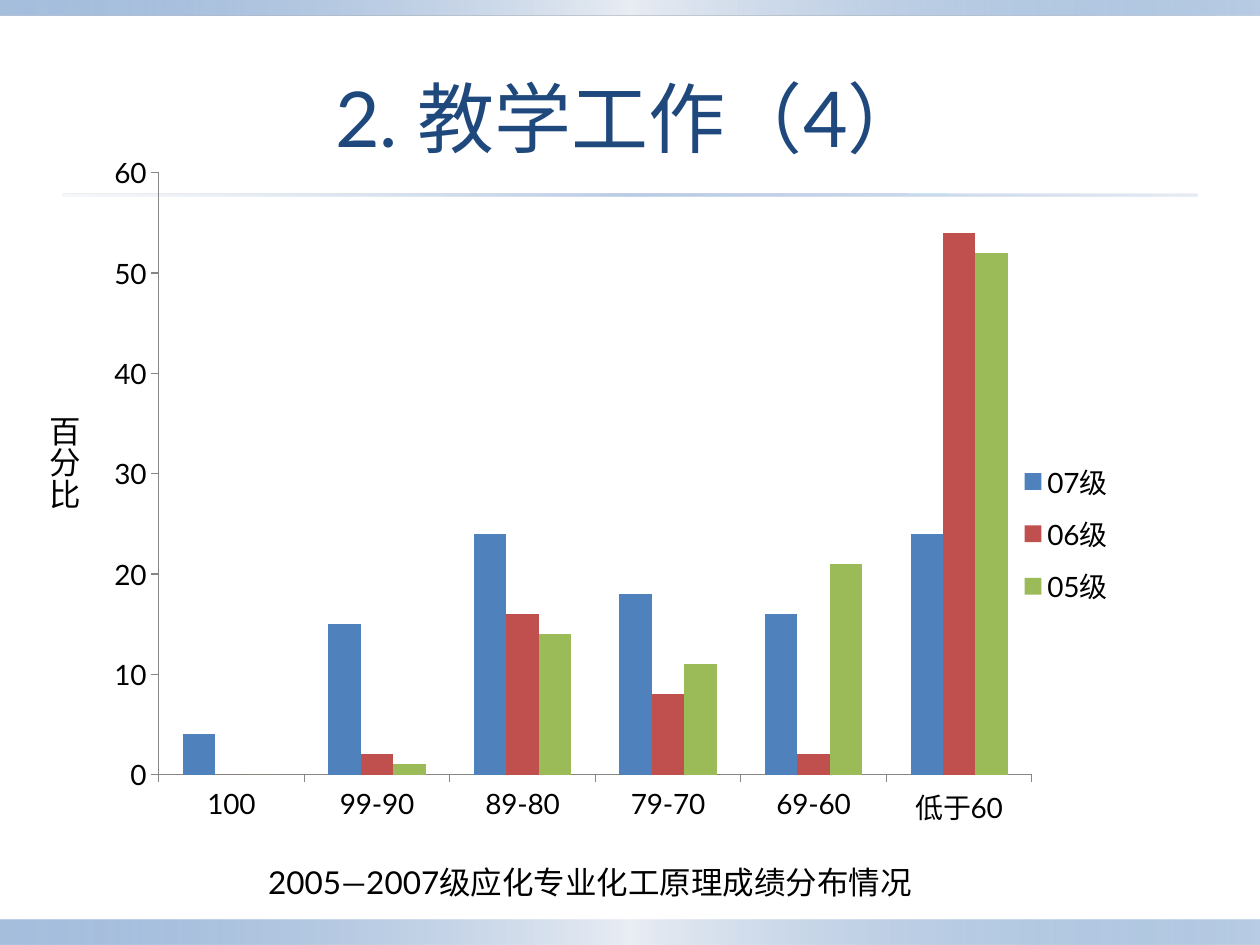
import pptx
import pptx.chart.data
import pptx.dml.color
import pptx.enum.chart
import pptx.enum.shapes
import pptx.enum.text
import pptx.oxml
import pptx.oxml.ns
import pptx.util

Inches, Pt = pptx.util.Inches, pptx.util.Pt
RGB = pptx.dml.color.RGBColor
NAVY = RGB(0x1F, 0x49, 0x7D)
BLACK = RGB(0, 0, 0)
GREY = RGB(0x86, 0x86, 0x86)
BLUE = RGB(0x4F, 0x81, 0xBD)
RED = RGB(0xC0, 0x50, 0x4D)
GREEN = RGB(0x9B, 0xBB, 0x59)
PALE = RGB(0xE9, 0xED, 0xF4)
MIST = RGB(0xD0, 0xD8, 0xE8)
FONT = "Lato"
NS = pptx.oxml.ns.nsdecls("a", "c")

BAND = [(0, BLUE, 50), (50, PALE, 100), (100, BLUE, 40)]
RULE = [(0, MIST, 20), (50, BLUE, 40), (100, MIST, 50)]
CATEGORIES = ["100", "99-90", "89-80", "79-70", "69-60", "低于60"]
SERIES = [
    ("07级", [4, 15, 24, 18, 16, 24], BLUE),
    ("06级", [0, 2, 16, 8, 2, 54], RED),
    ("05级", [0, 1, 14, 11, 21, 52], GREEN),
]


def set_font(font, size, color=BLACK):
    """Apply the slide's typeface with a size and colour."""
    font.name, font.size = FONT, Pt(size)
    font.color.rgb = color


def add_bar(slide, box, stops):
    """Fill the box with a horizontal gradient of (position, colour, opacity) stops."""
    sp = slide.shapes.add_shape(pptx.enum.shapes.MSO_SHAPE.RECTANGLE, *map(Inches, box))
    sp.shadow.inherit = False
    sp.line.fill.background()
    sp.fill.gradient()
    sp.fill.gradient_angle = 0
    gs_list = sp.fill._fill._gradFill.find(pptx.oxml.ns.qn("a:gsLst"))
    for gs in list(gs_list):
        gs_list.remove(gs)
    for pos, color, opacity in stops:
        gs_list.append(pptx.oxml.parse_xml(
            f'<a:gs {NS} pos="{pos * 1000}"><a:srgbClr val="{color}">'
            f'<a:alpha val="{opacity * 1000}"/></a:srgbClr></a:gs>'))


def add_title(slide, box, text):
    """Place the title placeholder in the box, in front of the bars."""
    sp = slide.shapes.title
    sp.left, sp.top, sp.width, sp.height = map(Inches, box)
    slide.shapes._spTree.append(sp._element)
    tf = sp.text_frame
    tf.text = text
    tf.vertical_anchor = pptx.enum.text.MSO_ANCHOR.MIDDLE
    p = tf.paragraphs[0]
    p.alignment = pptx.enum.text.PP_ALIGN.CENTER
    set_font(p.font, 44, NAVY)


def manual_layout(x, y, w, h, inner=False):
    """Return a chart layout element given in fractions of the chart."""
    target = '<c:layoutTarget val="inner"/>' if inner else ""
    return pptx.oxml.parse_xml(
        f'<c:layout {NS}><c:manualLayout>{target}<c:xMode val="edge"/><c:yMode val="edge"/>'
        f'<c:x val="{x}"/><c:y val="{y}"/><c:w val="{w}"/><c:h val="{h}"/>'
        '</c:manualLayout></c:layout>')


def add_score_chart(slide, box):
    """Draw the clustered columns of scores in the box."""
    data = pptx.chart.data.CategoryChartData()
    data.categories = CATEGORIES
    for name, values, _ in SERIES:
        data.add_series(name, values)
    kind = pptx.enum.chart.XL_CHART_TYPE.COLUMN_CLUSTERED
    chart = slide.shapes.add_chart(kind, *map(Inches, box), data).chart
    set_font(chart.font, 10)
    chart.has_title = False

    plot = chart.plots[0]
    plot.gap_width, plot.overlap, plot.vary_by_categories = 150, 0, False
    for series, (_, _, color) in zip(plot.series, SERIES):
        series.format.fill.solid()
        series.format.fill.fore_color.rgb = color

    for axis in (chart.category_axis, chart.value_axis):
        axis.has_major_gridlines = False
        axis.major_tick_mark = pptx.enum.chart.XL_TICK_MARK.OUTSIDE
        axis.format.line.color.rgb = GREY
        set_font(axis.tick_labels.font, 16)
    chart.value_axis.minimum_scale = 0
    chart.value_axis.maximum_scale = 60
    chart.value_axis.major_unit = 10

    chart.has_legend = True
    legend = chart.legend
    legend.position = pptx.enum.chart.XL_LEGEND_POSITION.RIGHT
    legend.include_in_layout = False
    set_font(legend.font, 16)

    area = chart._chartSpace.chart.plotArea
    for parent, layout in (
        (area, manual_layout(0.14, 0.05, 0.77, 0.85, inner=True)),
        (legend._element, manual_layout(0.89, 0.44, 0.1, 0.24)),
    ):
        for old in parent.findall(pptx.oxml.ns.qn("c:layout")):
            parent.remove(old)
        parent.insert(0 if parent is area else 1, layout)
    chart._chartSpace.chart.addnext(pptx.oxml.parse_xml(
        f"<c:spPr {NS}><a:noFill/><a:ln><a:noFill/></a:ln></c:spPr>"))


def add_label(slide, box, text, vertical=False):
    """Write a plain label in the box, optionally running downwards."""
    tf = slide.shapes.add_textbox(*map(Inches, box)).text_frame
    tf.word_wrap = True
    tf.auto_size = pptx.enum.text.MSO_AUTO_SIZE.SHAPE_TO_FIT_TEXT
    if vertical:
        tf._txBody.bodyPr.set("vert", "eaVert")
    tf.text = text
    set_font(tf.paragraphs[0].font, 18)


def main():
    """Build the slide and save it."""
    prs = pptx.Presentation()
    prs.slide_width, prs.slide_height = Inches(10), Inches(7.5)
    slide = prs.slides.add_slide(prs.slide_layouts[5])
    add_bar(slide, (0, 7.3, 10, 0.2), BAND)
    add_bar(slide, (0, 0, 10, 0.12), BAND)
    add_bar(slide, (0.5, 1.54, 9, 0.02), RULE)
    add_title(slide, (0.5, 0.3, 9, 1.25), "2. 教学工作（4）")
    add_score_chart(slide, (0, 1.09, 9, 5.62))
    add_label(slide, (2.03, 6.8, 5.62, 0.4), "2005—2007级应化专业化工原理成绩分布情况")
    add_label(slide, (0.2, 3.2, 0.51, 1.88), "百分比", vertical=True)
    prs.save("out.pptx")


if __name__ == "__main__":
    main()
